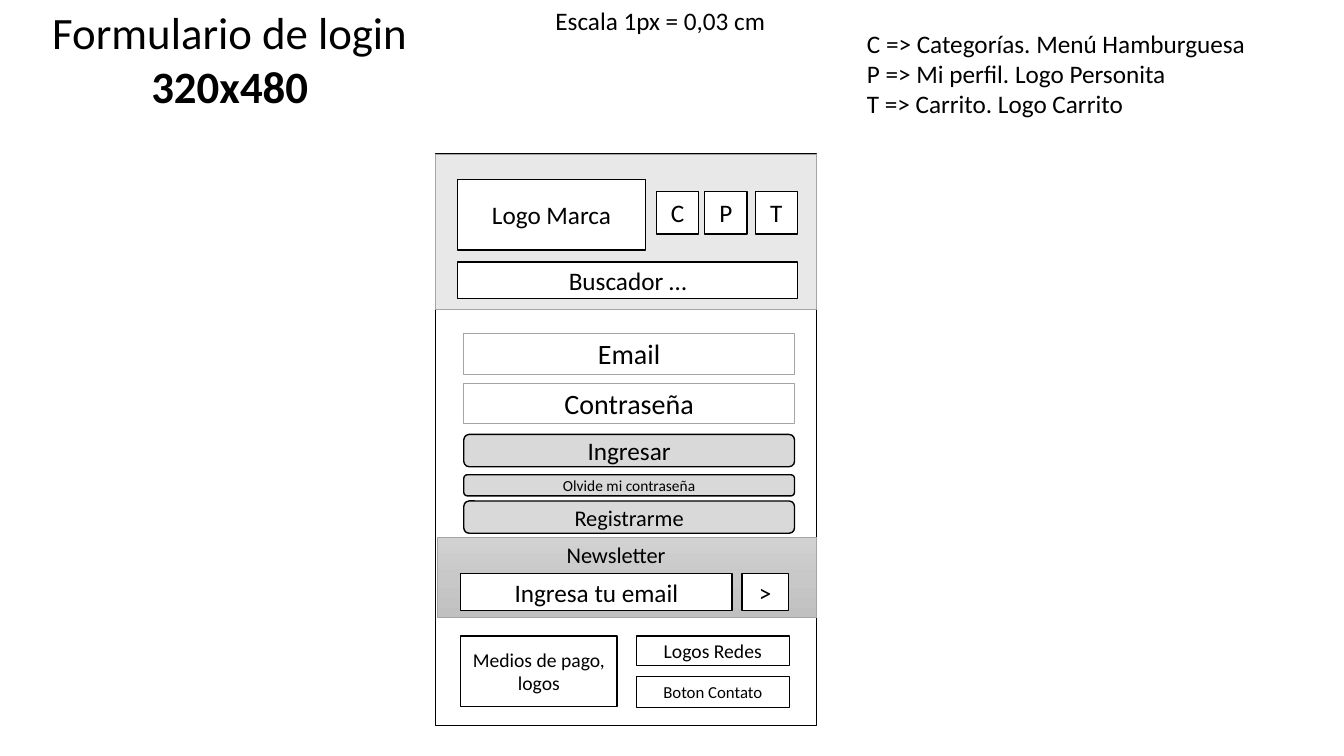
from copy import deepcopy

from pptx import Presentation
from pptx.dml.color import RGBColor
from pptx.enum.shapes import MSO_SHAPE
from pptx.enum.text import MSO_ANCHOR, MSO_AUTO_SIZE, PP_ALIGN
from pptx.oxml.ns import qn
from pptx.util import Inches, Pt
from lxml import etree

COLORS = {"black": "000000", "white": "FFFFFF", "button": "D9D9D9", "border": "A5A5A5",
          "grad_top": "D2D2D2", "grad_mid": "C8C8C8", "grad_end": "C0C0C0"}
RECT, ROUND = MSO_SHAPE.RECTANGLE, MSO_SHAPE.ROUNDED_RECTANGLE
STYLES = {
    "box": (RECT, "white", "black", 1),
    "field": (RECT, "white", "border", 0.5),
    "band": (RECT, "button", "border", 0.5),
    "button": (ROUND, "button", "black", 1),
}


def write(s, lines, size, align, anchor, wrap=True, bold_last=False):
    tf = s.text_frame
    tf.word_wrap = wrap
    tf.vertical_anchor = anchor
    for i, line in enumerate(lines):
        p = tf.paragraphs[0] if i == 0 else tf.add_paragraph()
        p.alignment = align
        r = p.add_run()
        r.text = line
        bold = bold_last and i == len(lines) - 1
        font = {"name": "Calibri", "size": Pt(size), "bold": bold}
        for name, value in font.items():
            setattr(r.font, name, value)
        r.font.color.rgb = RGBColor.from_string(COLORS["black"])


def add_box(style, left, top, width, height, text="", size=18):
    shape, fill, line, weight = STYLES[style]
    s = slide.shapes.add_shape(shape, Inches(left), Inches(top), Inches(width), Inches(height))
    s.shadow.inherit = False
    s.fill.solid()
    s.fill.fore_color.rgb = RGBColor.from_string(COLORS[fill])
    s.line.color.rgb = RGBColor.from_string(COLORS[line])
    s.line.width = Pt(weight)
    if text:
        write(s, [text], size, PP_ALIGN.CENTER, MSO_ANCHOR.MIDDLE)
    return s


prs = Presentation()
prs.slide_width, prs.slide_height = Inches(13.33), Inches(7.5)
slide = prs.slides.add_slide(prs.slide_layouts[5])

# Title
title = slide.shapes.title
title.left, title.top = Inches(0.4), Inches(0)
title.width, title.height = Inches(3.76), Inches(1.18)
write(title, ["Formulario de login", "320x480"], 32, PP_ALIGN.CENTER, MSO_ANCHOR.TOP,
      wrap=False, bold_last=True)
title.text_frame.auto_size = MSO_AUTO_SIZE.SHAPE_TO_FIT_TEXT

# Phone screen and translucent header
add_box("box", 4.32, 1.53, 3.78, 5.67)
header = add_box("band", 4.32, 1.53, 3.78, 1.54)
header_color = header._element.spPr.find(qn("a:solidFill"))[0]
etree.SubElement(header_color, qn("a:alpha")).set("val", "58000")

# Header contents
add_box("box", 4.54, 1.78, 1.86, 0.7, "Logo Marca")
for left, letter in zip((6.51, 6.99, 7.49), "CPT"):
    add_box("box", left, 1.9, 0.42, 0.42, letter)
add_box("box", 4.54, 2.6, 3.37, 0.36, "Buscador …")

# Login form
for style, top, height, text, size in (
    ("field", 3.31, 0.4, "Email", 20),
    ("field", 3.8, 0.4, "Contraseña", 20),
    ("button", 4.31, 0.32, "Ingresar", 18),
    ("button", 4.71, 0.21, "Olvide mi contraseña", 11),
    ("button", 4.97, 0.32, "Registrarme", 16),
):
    add_box(style, 4.6, top, 3.28, height, text, size)

# Newsletter band with a three-stop vertical gradient
newsletter = add_box("band", 4.34, 5.33, 3.76, 0.8)
newsletter.fill.gradient()
newsletter.fill.gradient_angle = 270
stop_list = newsletter._element.spPr.find(qn("a:gradFill")).find(qn("a:gsLst"))
stop_list.insert(1, deepcopy(stop_list[0]))
stops = zip(newsletter.fill.gradient_stops, (0, 0.5, 1), ("grad_top", "grad_mid", "grad_end"))
for stop, position, name in stops:
    stop.position = position
    stop.color.rgb = RGBColor.from_string(COLORS[name])
add_box("box", 4.57, 5.69, 2.69, 0.37, "Ingresa tu email")
add_box("box", 7.36, 5.69, 0.46, 0.37, ">")

# Footer
add_box("box", 4.57, 6.31, 1.55, 0.7, "Medios de pago, logos", 14)
add_box("box", 6.31, 6.31, 1.52, 0.29, "Logos Redes", 14)
add_box("box", 6.31, 6.71, 1.52, 0.31, "Boton Contato", 12)

# Free text: legend, scale and newsletter heading
legend = ["C => Categorías. Menú Hamburguesa", "P => Mi perfil. Logo Personita",
          "T => Carrito. Logo Carrito"]
for left, top, width, height, lines, size, align, wrap in (
    (8.5, 0.23, 4, 1.01, legend, 18, PP_ALIGN.LEFT, False),
    (5.41, 0, 2.31, 0.4, ["Escala 1px = 0,03 cm"], 18, PP_ALIGN.LEFT, False),
    (4.47, 5.32, 3.28, 0.37, ["Newsletter"], 16, PP_ALIGN.CENTER, True),
):
    s = slide.shapes.add_textbox(Inches(left), Inches(top), Inches(width), Inches(height))
    write(s, lines, size, align, MSO_ANCHOR.TOP, wrap)
    s.text_frame.auto_size = MSO_AUTO_SIZE.SHAPE_TO_FIT_TEXT

prs.save("out.pptx")
